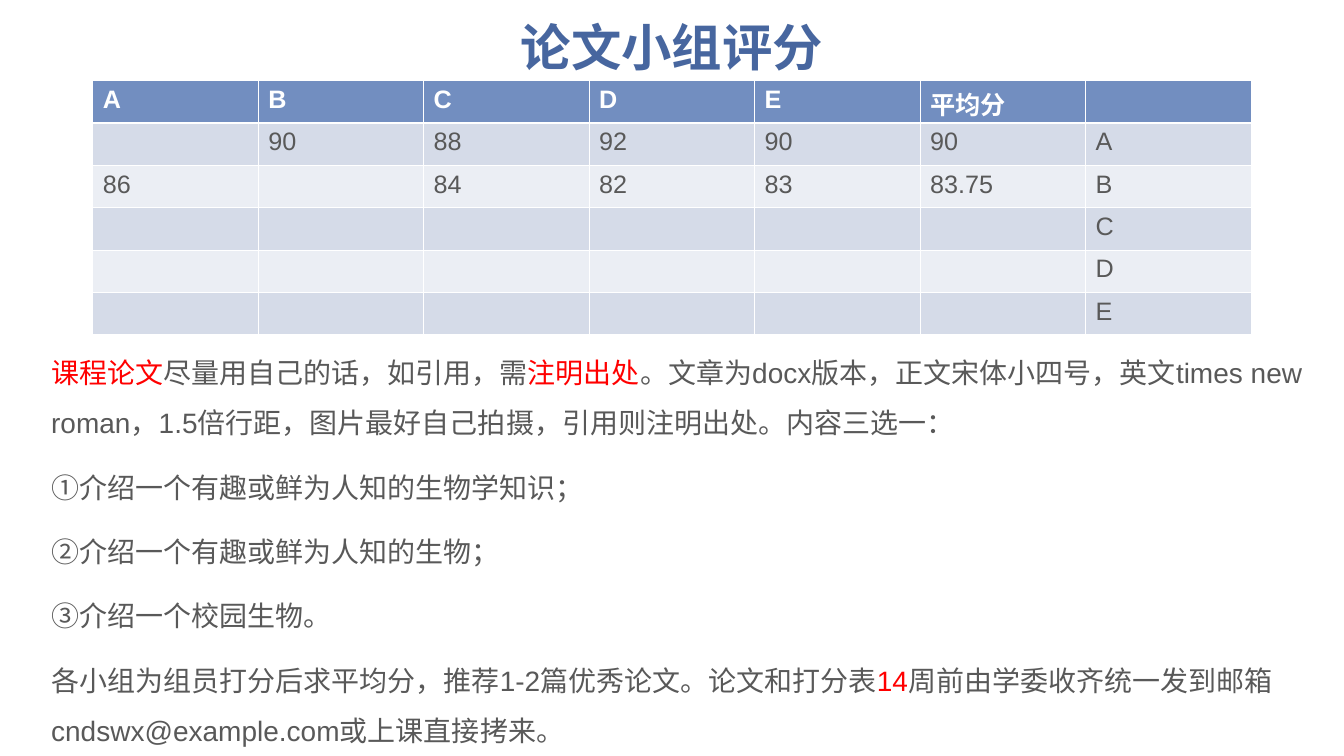
from typing import NamedTuple

import pptx
import pptx.dml.color
import pptx.enum.text
import pptx.oxml
import pptx.oxml.ns
import pptx.util
from pptx.util import Inches

RGBColor = pptx.dml.color.RGBColor
Pt = pptx.util.Pt

TITLE_BLUE = RGBColor(0x47, 0x66, 0x9F)
HEADER_BLUE = RGBColor(0x72, 0x8E, 0xC0)
BAND_DARK = RGBColor(0xD5, 0xDB, 0xE8)
BAND_LIGHT = RGBColor(0xEB, 0xEE, 0xF4)
WHITE = RGBColor(0xFF, 0xFF, 0xFF)
GREY = RGBColor(0x59, 0x59, 0x59)
RED = RGBColor(0xFF, 0x00, 0x00)
LATIN = "Arial"
CJK = "Noto Sans CJK SC"
THIN, THICK = 0.45, 1.47


class Span(NamedTuple):
    text: str
    color: RGBColor = GREY
    font: str = LATIN


SCORES = [
    ["A", "B", "C", "D", "E", "平均分", ""],
    ["", "90", "88", "92", "90", "90", "A"],
    ["86", "", "84", "82", "83", "83.75", "B"],
    *([""] * 6 + [member] for member in "CDE"),
]

REQUIREMENTS = [
    [
        Span("课程论文", RED),
        Span("尽量用自己的话，如引用，需"),
        Span("注明出处", RED),
        Span("。文章为docx版本，正文宋体小四号，英文times new roman，"
             "1.5倍行距，图片最好自己拍摄，引用则注明出处。内容三选一："),
    ],
    [Span("①", font=CJK), Span("介绍一个有趣或鲜为人知的生物学知识；")],
    [Span("②", font=CJK), Span("介绍一个有趣或鲜为人知的生物；")],
    [Span("③", font=CJK), Span("介绍一个校园生物。")],
    [
        Span("各小组为组员打分后求平均分，推荐1-2篇优秀论文。论文和打分表"),
        Span("14", RED),
        Span("周前由学委收齐统一发到邮箱cndswx@example.com或上课直接拷来。"),
    ],
]


def style_font(font, size: float, color: RGBColor, name: str = LATIN, bold: bool = False) -> None:
    font.size = Pt(size)
    font.name = name
    font.bold = bold
    font.color.rgb = color


def set_borders(cell, top: float, bottom: float) -> None:
    """Draw white borders; must run before the cell gets its fill."""
    properties = cell._tc.get_or_add_tcPr()
    for side, width in (("L", THIN), ("R", THIN), ("T", top), ("B", bottom)):
        properties.append(pptx.oxml.parse_xml(
            f'<a:ln{side} {pptx.oxml.ns.nsdecls("a")} w="{int(Pt(width))}">'
            f'<a:solidFill><a:srgbClr val="{WHITE}"/></a:solidFill></a:ln{side}>'
        ))


def add_title(slide, text: str) -> None:
    frame = slide.shapes.add_textbox(Inches(0.92), 0, Inches(11.5), Inches(0.99)).text_frame
    frame.word_wrap = True
    frame.vertical_anchor = pptx.enum.text.MSO_ANCHOR.MIDDLE
    frame.text = text
    heading = frame.paragraphs[0]
    heading.alignment = pptx.enum.text.PP_ALIGN.CENTER
    heading.line_spacing = 0.9
    style_font(heading.runs[0].font, 36, TITLE_BLUE, bold=True)


def add_score_table(slide, scores: list[list[str]]) -> None:
    table = slide.shapes.add_table(
        len(scores), len(scores[0]), Inches(0.92), Inches(0.8), Inches(11.5), Inches(2.5)
    ).table
    table.horz_banding = False
    for row, values in enumerate(scores):
        table.rows[row].height = Inches(0.42)
        header = row == 0
        band = BAND_DARK if row % 2 else BAND_LIGHT
        for column, value in enumerate(values):
            cell = table.cell(row, column)
            set_borders(cell, THICK if row == 1 else THIN, THICK if header else THIN)
            cell.fill.solid()
            cell.fill.fore_color.rgb = HEADER_BLUE if header else band
            cell.text = value
            style_font(cell.text_frame.paragraphs[0].font, 18, WHITE if header else GREY, bold=header)
            for run in cell.text_frame.paragraphs[0].runs:
                style_font(run.font, 18, WHITE if header else GREY, bold=header)


def add_requirements(slide, requirements: list[list[Span]]) -> None:
    frame = slide.shapes.add_textbox(
        Inches(0.41), Inches(3.31), Inches(12.66), Inches(4.16)
    ).text_frame
    frame.word_wrap = True
    frame.auto_size = pptx.enum.text.MSO_AUTO_SIZE.SHAPE_TO_FIT_TEXT
    for index, spans in enumerate(requirements):
        paragraph = frame.add_paragraph() if index else frame.paragraphs[0]
        paragraph.line_spacing = 1.5
        if index:
            paragraph.space_before = Pt(10)
        for span in spans:
            run = paragraph.add_run()
            run.text = span.text
            style_font(run.font, 20, span.color, span.font)


def main() -> None:
    deck = pptx.Presentation()
    deck.slide_width, deck.slide_height = Inches(13.34), Inches(7.5)
    slide = deck.slides.add_slide(deck.slide_layouts[6])
    add_title(slide, "论文小组评分")
    add_score_table(slide, SCORES)
    add_requirements(slide, REQUIREMENTS)
    deck.save("out.pptx")


if __name__ == "__main__":
    main()
